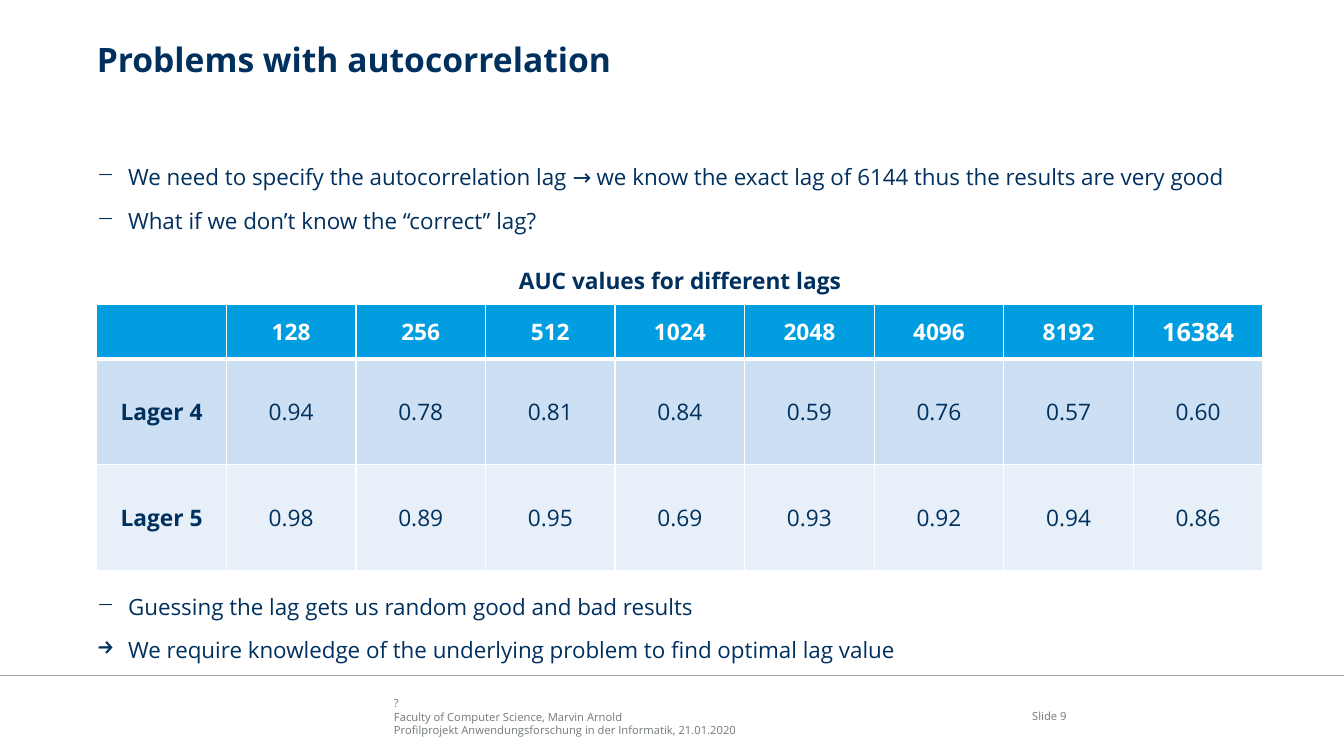
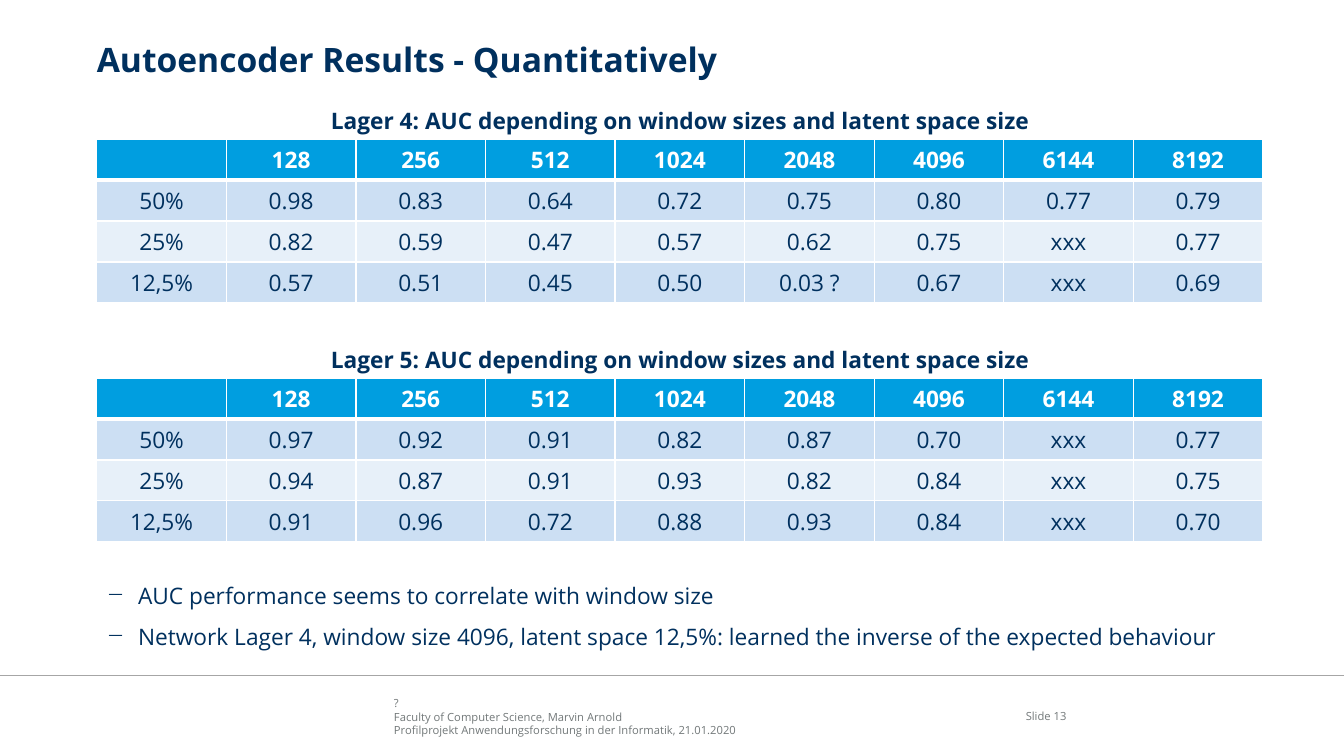
from lxml.etree import SubElement
from pptx import Presentation
from pptx.dml.color import RGBColor
from pptx.enum.shapes import MSO_CONNECTOR
from pptx.enum.text import MSO_ANCHOR as Anchor, PP_ALIGN as Align
from pptx.oxml.ns import qn
from pptx.util import Cm, Pt

NAVY = RGBColor(0x00, 0x30, 0x5E)
BLUE = RGBColor(0x00, 0x9E, 0xE0)
BAND_DARK = RGBColor(0xCC, 0xDF, 0xF3)
BAND_LIGHT = RGBColor(0xE7, 0xF0, 0xF9)
WHITE = RGBColor(0xFF, 0xFF, 0xFF)
GRAY = RGBColor(0x72, 0x78, 0x79)
RULE_GRAY = RGBColor(0xA6, 0xA6, 0xA6)

FONT = "Open Sans"
TABLE_SIZE = 16.2
SLIDE_WIDTH, SLIDE_HEIGHT = 33.87, 19.05
LEFT, WIDTH = 2.44, 29.39
INDENT = 0.79
FOOTER_LINES = [
    "?",
    "Faculty of Computer Science, Marvin Arnold",
    "Profilprojekt Anwendungsforschung in der Informatik, 21.01.2020",
]


class Deck:
    """Holds the shared style and the current slide."""

    def __init__(self):
        self.presentation = Presentation()
        self.presentation.slide_width = Cm(SLIDE_WIDTH)
        self.presentation.slide_height = Cm(SLIDE_HEIGHT)
        self.slide = None

    def start_slide(self, title, number):
        self.slide = self.presentation.slides.add_slide(self.presentation.slide_layouts[6])
        self.text([title], 0.97, 1.91, size=24, bold=True)
        self.footer(number)

    def footer(self, number):
        rule = self.slide.shapes.add_connector(
            MSO_CONNECTOR.STRAIGHT, Cm(0), Cm(17.02), Cm(SLIDE_WIDTH), Cm(17.02))
        rule.line.color.rgb = RULE_GRAY
        rule.line.width = Pt(1)
        SubElement(rule._element.spPr, qn("a:effectLst"))
        self.text(FOOTER_LINES, 17.55, 1.02, left=9.93, width=14.4,
                  size=8, color=GRAY, anchor=Anchor.BOTTOM)
        self.text([f"Slide {number}"], 17.53, 1.02, left=24.92, width=1.96,
                  size=8, color=GRAY, align=Align.RIGHT, anchor=Anchor.MIDDLE)

    def style(self, paragraph, size, color, bold=False, align=Align.LEFT):
        paragraph.alignment = align
        font = paragraph.font
        font.name, font.size, font.bold = FONT, Pt(size), bold
        font.color.rgb = color

    def text(self, lines, top, height, left=LEFT, width=WIDTH, size=16, color=NAVY,
             bold=False, align=Align.LEFT, anchor=Anchor.TOP, inset=(0, 0),
             bullets=None, gap=0, line_spacing=None):
        shape = self.slide.shapes.add_textbox(Cm(left), Cm(top), Cm(width), Cm(height))
        frame = shape.text_frame
        frame.word_wrap = True
        frame.vertical_anchor = anchor
        frame.margin_left = frame.margin_right = Cm(inset[0])
        frame.margin_top = frame.margin_bottom = Cm(inset[1])
        for index, line in enumerate(lines):
            paragraph = frame.add_paragraph() if index else frame.paragraphs[0]
            paragraph.text = line
            if bullets:
                self.bullet(paragraph, bullets[index])
            if index and gap:
                paragraph.space_before = Pt(gap)
            if line_spacing:
                paragraph.line_spacing = line_spacing
            self.style(paragraph, size, color, bold, align)

    def bullet(self, paragraph, character):
        properties = paragraph._p.get_or_add_pPr()
        properties.set("marL", str(Cm(INDENT)))
        properties.set("indent", str(-Cm(INDENT)))
        SubElement(properties, qn("a:buChar"), char=character)

    def caption(self, line, top):
        self.text([line], top, 0.94, size=TABLE_SIZE, bold=True,
                  align=Align.CENTER, inset=(0.25, 0.13))

    def table(self, rows, top, heights, bold_labels=False):
        columns = len(rows[0])
        frame = self.slide.shapes.add_table(
            len(rows), columns, Cm(LEFT), Cm(top), Cm(WIDTH), Cm(sum(heights)))
        table = frame.table
        for column in table.columns:
            column.width = Cm(WIDTH / columns)
        for row_index, (values, height) in enumerate(zip(rows, heights)):
            table.rows[row_index].height = Cm(height)
            header = row_index == 0
            band = BAND_DARK if row_index % 2 else BAND_LIGHT
            for column_index, value in enumerate(values):
                cell = table.cell(row_index, column_index)
                self.borders(cell, row_index)
                cell.fill.solid()
                cell.fill.fore_color.rgb = BLUE if header else band
                cell.vertical_anchor = Anchor.MIDDLE
                cell.text = value
                bold = header or (bold_labels and column_index == 0)
                self.style(cell.text_frame.paragraphs[0], TABLE_SIZE,
                           WHITE if header else NAVY, bold, Align.CENTER)
        return table

    def borders(self, cell, row_index):
        # The edge between header and body is thicker
        thick_edge = {0: "lnB", 1: "lnT"}.get(row_index)
        properties = cell._tc.get_or_add_tcPr()
        for edge in ("lnL", "lnR", "lnT", "lnB"):
            width = Pt(3 if edge == thick_edge else 1)
            line = SubElement(properties, qn(f"a:{edge}"), w=str(width))
            fill = SubElement(line, qn("a:solidFill"))
            SubElement(fill, qn("a:srgbClr"), val=str(WHITE))


def autocorrelation_slide(deck):
    deck.start_slide("Problems with autocorrelation", 9)
    deck.text([
        "We need to specify the autocorrelation lag → we know the exact lag of 6144 "
        "thus the results are very good",
        "What if we don’t know the “correct” lag?",
    ], 4.11, 1.91, bullets="−−", gap=12)

    # Results per lag
    deck.caption("AUC values for different lags", 6.6)
    table = deck.table([
        ["", "128", "256", "512", "1024", "2048", "4096", "8192", "16384"],
        ["Lager 4", "0.94", "0.78", "0.81", "0.84", "0.59", "0.76", "0.57", "0.60"],
        ["Lager 5", "0.98", "0.89", "0.95", "0.69", "0.93", "0.92", "0.94", "0.86"],
    ], 7.67, [1.37, 2.67, 2.67], bold_labels=True)
    table.cell(0, 8).text_frame.paragraphs[0].font.size = Pt(18)

    # Conclusion
    deck.text([
        "Guessing the lag gets us random good and bad results",
        "We require knowledge of the underlying problem to find optimal lag value",
    ], 14.94, 1.91, bullets="−→", gap=12)


def autoencoder_slide(deck):
    deck.start_slide("Autoencoder Results - Quantitatively", 13)

    # One table per bearing
    window_sizes = ["", "128", "256", "512", "1024", "2048", "4096", "6144", "8192"]
    results = {
        "Lager 4": [
            ["50%", "0.98", "0.83", "0.64", "0.72", "0.75", "0.80", "0.77", "0.79"],
            ["25%", "0.82", "0.59", "0.47", "0.57", "0.62", "0.75", "xxx", "0.77"],
            ["12,5%", "0.57", "0.51", "0.45", "0.50", "0.03 ?", "0.67", "xxx", "0.69"],
        ],
        "Lager 5": [
            ["50%", "0.97", "0.92", "0.91", "0.82", "0.87", "0.70", "xxx", "0.77"],
            ["25%", "0.94", "0.87", "0.91", "0.93", "0.82", "0.84", "xxx", "0.75"],
            ["12,5%", "0.91", "0.96", "0.72", "0.88", "0.93", "0.84", "xxx", "0.70"],
        ],
    }
    for index, (name, rows) in enumerate(results.items()):
        top = 2.57 + index * 6.02
        deck.caption(f"{name}: AUC depending on window sizes and latent space size", top)
        deck.table([window_sizes] + rows, top + 0.94, [1.03] * 4)

    # Conclusion
    deck.text([
        "AUC performance seems to correlate with window size",
        "Network Lager 4, window size 4096, latent space 12,5%: "
        "learned the inverse of the expected behaviour",
    ], 14.2, 2.24, size=TABLE_SIZE, inset=(0.25, 0.13), bullets="−−", line_spacing=1.5)


def main():
    deck = Deck()
    autocorrelation_slide(deck)
    autoencoder_slide(deck)
    deck.presentation.save("out.pptx")


if __name__ == "__main__":
    main()
